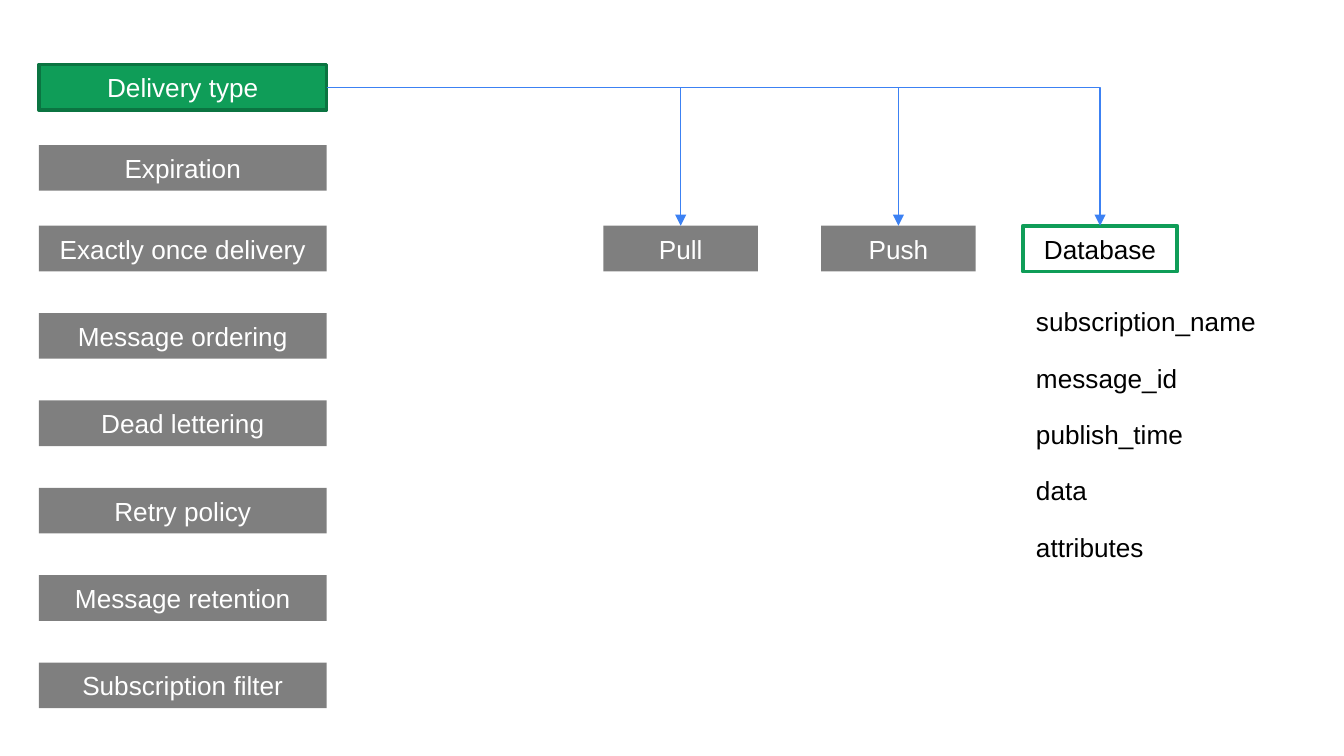
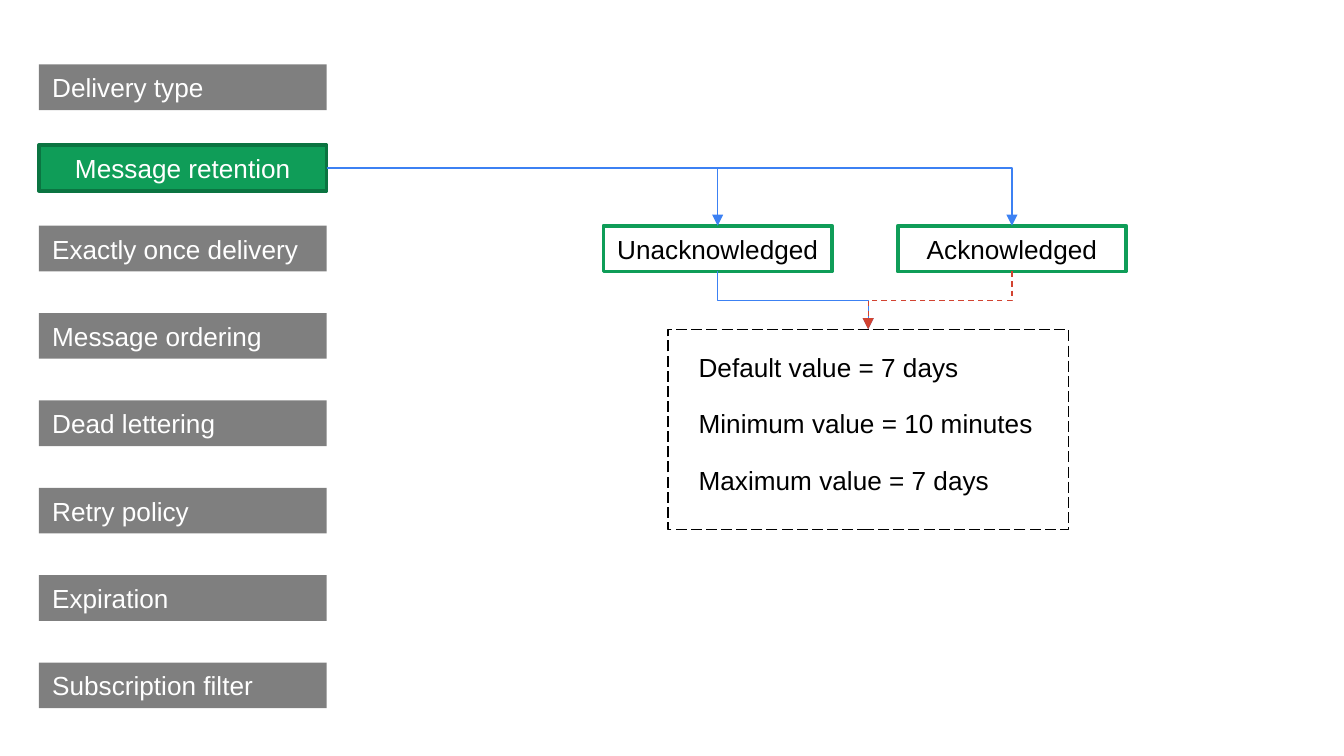
import pptx
import pptx.dml.color
import pptx.enum.dml
import pptx.enum.shapes
import pptx.enum.text
import pptx.oxml
import pptx.util
from lxml import etree

Inches = pptx.util.Inches
Pt = pptx.util.Pt
color = pptx.dml.color.RGBColor.from_string
ALIGN = pptx.enum.text.PP_ALIGN
DASH = pptx.enum.dml.MSO_LINE
CONNECTOR = pptx.enum.shapes.MSO_CONNECTOR
qn = pptx.oxml.ns.qn

BLUE, RED, GREEN, BLACK, WHITE = "3C81F3", "D24331", "0F9D58", "000000", "FFFFFF"
STYLES = {
    "idle": {"fill": BLACK, "opacity": 50, "text": WHITE},
    "active": {"fill": GREEN, "line": "0B7441", "text": WHITE},
    "choice": {"fill": WHITE, "line": GREEN, "text": BLACK},
    "frame": {"line": BLACK, "weight": 0.75, "dash": DASH.LONG_DASH, "text": BLACK},
    "plain": {"text": BLACK},
}
FRAME_FORMAT = {
    "word_wrap": True,
    "auto_size": pptx.enum.text.MSO_AUTO_SIZE.NONE,
    "vertical_anchor": pptx.enum.text.MSO_ANCHOR.MIDDLE,
    "margin_left": Inches(0.1),
    "margin_right": Inches(0.1),
    "margin_top": Inches(0.05),
    "margin_bottom": Inches(0.05),
}
FONT_FORMAT = {"name": "Arial", "size": Pt(14)}

BOX_HEIGHT = 0.34
MENU_LEFT, MENU_WIDTH = 0.29, 2.14
MENU_TOPS = [0.48, 1.08] + [1.68 + 0.65 * row for row in range(6)]
CHOICE_TOP = 1.68
LINE_STEP = 0.42
TOP, BOTTOM, RIGHT = 0, 2, 3  # connection sites of a rectangle


def add_box(shapes, text, left, top, width, style, align=ALIGN.CENTER, height=BOX_HEIGHT):
    """Add a text box for the plain style, otherwise a styled rectangle."""
    look = STYLES[style]
    place = [Inches(length) for length in (left, top, width, height)]
    if style == "plain":
        shape = shapes.add_textbox(*place)
    else:
        shape = shapes.add_shape(pptx.enum.shapes.MSO_SHAPE.RECTANGLE, *place)
        shape.shadow.inherit = False
        if "fill" in look:
            shape.fill.solid()
            shape.fill.fore_color.rgb = color(look["fill"])
        else:
            shape.fill.background()
        if "opacity" in look:
            fill_color = shape._element.spPr.find(qn("a:solidFill"))[0]
            etree.SubElement(fill_color, qn("a:alpha"), val=str(look["opacity"] * 1000))
        if "line" in look:
            shape.line.color.rgb = color(look["line"])
            shape.line.width = Pt(look.get("weight", 2))
            shape.line.dash_style = look.get("dash")
        else:
            shape.line.fill.background()
    if text:
        for name, value in FRAME_FORMAT.items():
            setattr(shape.text_frame, name, value)
        paragraph = shape.text_frame.paragraphs[0]
        paragraph.alignment = align
        run = paragraph.add_run()
        run.text = text
        for name, value in FONT_FORMAT.items():
            setattr(run.font, name, value)
        run.font.color.rgb = color(look["text"])
    return shape


def add_elbow(slide, source, site, target, line_color=BLUE, dash=None):
    """Join a site of source to the top of target with a bent arrow."""
    connector = slide.shapes.add_connector(CONNECTOR.ELBOW, 0, 0, 0, 0)
    connector.begin_connect(source, site)
    connector.end_connect(target, TOP)
    properties = connector._element.spPr
    if site == RIGHT:
        properties.find(qn("a:prstGeom")).set("prst", "bentConnector2")
    else:
        # Leaves downwards: the preset runs sideways, so its box is turned a quarter
        run = connector.end_x - connector.begin_x
        drop = connector.end_y - connector.begin_y
        middle_x = (connector.begin_x + connector.end_x) // 2
        middle_y = (connector.begin_y + connector.end_y) // 2
        connector.left, connector.top = middle_x - drop // 2, middle_y - abs(run) // 2
        connector.width, connector.height = drop, abs(run)
        transform = properties.find(qn("a:xfrm"))
        transform.set("rot", str((270 if run > 0 else 90) * 60000))
        transform.set("flipH", "1" if run > 0 else "0")
    connector.line.color.rgb = color(line_color)
    connector.line.width = Pt(0.75)
    connector.line.dash_style = dash
    etree.SubElement(properties.find(qn("a:ln")), qn("a:tailEnd"), type="triangle")
    etree.SubElement(properties, qn("a:effectLst"))


presentation = pptx.Presentation()
presentation.slide_width = Inches(10)
presentation.slide_height = Inches(5.625)

# Each slide: menu entries, active entry, idle alignment, choices (text, left, width, style)
topics = [
    (["Delivery type", "Expiration", "Exactly once delivery", "Message ordering",
      "Dead lettering", "Retry policy", "Message retention", "Subscription filter"],
     "Delivery type", ALIGN.CENTER,
     [("Pull", 4.49, 1.15, "idle"), ("Push", 6.11, 1.15, "idle"),
      ("Database", 7.61, 1.15, "choice")]),
    (["Delivery type", "Message retention", "Exactly once delivery", "Message ordering",
      "Dead lettering", "Retry policy", "Expiration", "Subscription filter"],
     "Message retention", ALIGN.LEFT,
     [("Unacknowledged ", 4.49, 1.7, "choice"), ("Acknowledged", 6.68, 1.7, "choice")]),
]
slides, choice_boxes = [], []
for entries, active, idle_align, choices in topics:
    slide = presentation.slides.add_slide(presentation.slide_layouts[6])
    for entry, top in zip(entries, MENU_TOPS):
        if entry == active:
            active_box = add_box(slide.shapes, entry, MENU_LEFT, top, MENU_WIDTH, "active")
        else:
            add_box(slide.shapes, entry, MENU_LEFT, top, MENU_WIDTH, "idle", idle_align)
    boxes = [add_box(slide.shapes, text, left, CHOICE_TOP, width, style)
             for text, left, width, style in choices]
    for box in boxes:
        add_elbow(slide, active_box, RIGHT, box)
    slides.append(slide)
    choice_boxes.append(boxes)

delivery_slide, retention_slide = slides

# Delivery type: fields written to the table
fields = ["subscription_name", "message_id", "publish_time", "data", "attributes"]
for row, field in enumerate(fields):
    add_box(delivery_slide.shapes, field, 7.61, 2.22 + LINE_STEP * row, 1.91, "plain", ALIGN.LEFT)

# Message retention: limits shared by both kinds of message
limits = [("Default value = 7 days", 2.24), ("Minimum value = 10 minutes", 2.79),
          ("Maximum value = 7 days", 2.36)]
limits_group = retention_slide.shapes.add_group_shape()
for row, (limit, width) in enumerate(limits):
    add_box(limits_group.shapes, limit, 5.1, 2.56 + LINE_STEP * row, width, "plain", ALIGN.LEFT)
limits_frame = add_box(limits_group.shapes, "", 4.97, 2.45, 2.98, "frame", height=1.49)
unacknowledged, acknowledged = choice_boxes[1]
add_elbow(retention_slide, unacknowledged, BOTTOM, limits_frame)
add_elbow(retention_slide, acknowledged, BOTTOM, limits_frame, RED, DASH.DASH)

presentation.save("out.pptx")
